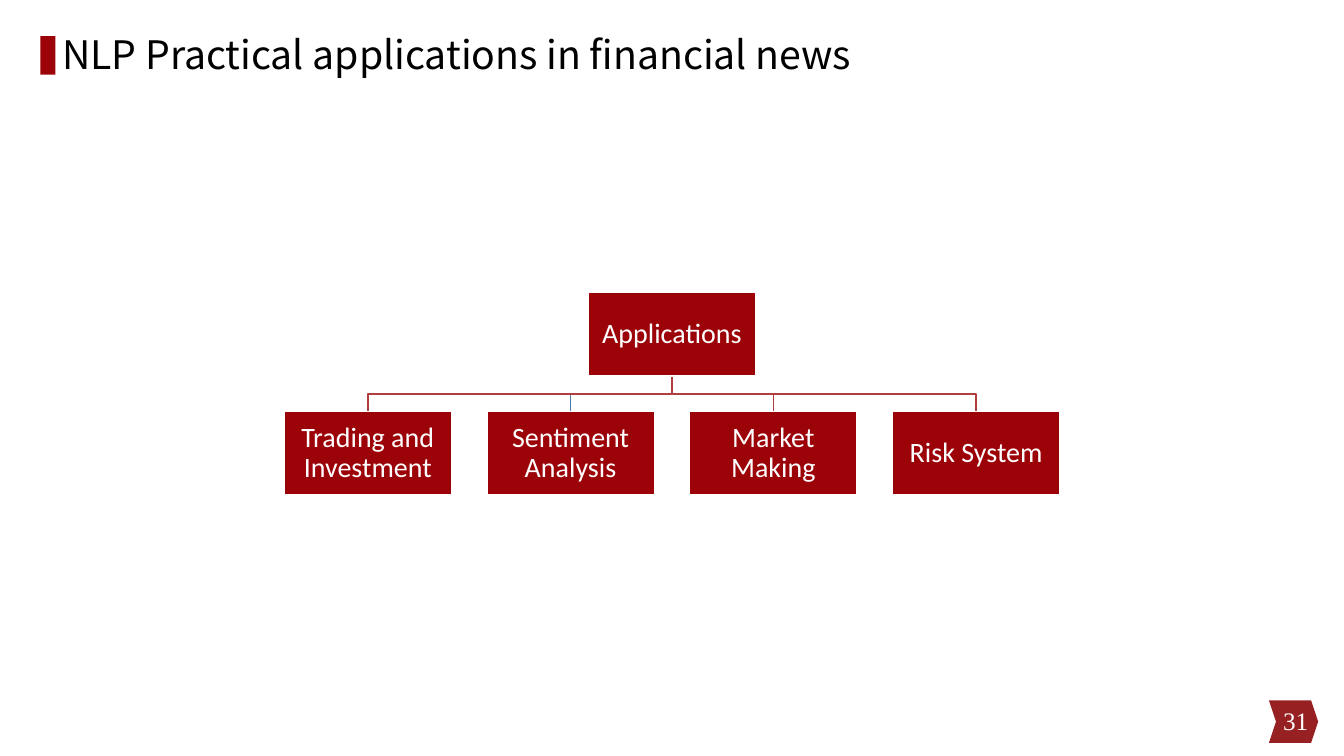
from pptx import Presentation
from pptx.dml.color import RGBColor
from pptx.enum.shapes import MSO_SHAPE as Preset
from pptx.enum.text import MSO_ANCHOR as Anchor, PP_ALIGN as Align
from pptx.util import Cm, Pt

DARK_RED = "9C0308"
WHITE = "FFFFFF"
LINE_RED = "B23E3E"
LINE_BLUE = "497CAB"


def color(value):
    return RGBColor.from_string(value)


def write(shape, text, size, font, fill, align=Align.LEFT, inset=None, spacing=None):
    frame = shape.text_frame
    frame.word_wrap = True
    frame.vertical_anchor = Anchor.MIDDLE
    if inset is not None:
        frame.margin_left = frame.margin_right = Cm(inset)
        frame.margin_top = frame.margin_bottom = Cm(inset)
    paragraph = frame.paragraphs[0]
    paragraph.alignment = align
    paragraph.line_spacing = spacing
    run = paragraph.add_run()
    run.text = text
    run.font.size = Pt(size)
    run.font.name = font
    run.font.color.rgb = color(fill)


def add_block(slide, preset, left, top, width, height, fill, line=None):
    shape = slide.shapes.add_shape(preset, Cm(left), Cm(top), Cm(width), Cm(height))
    shape.shadow.inherit = False
    shape.fill.solid()
    shape.fill.fore_color.rgb = color(fill)
    if line:
        shape.line.color.rgb = color(line)
        shape.line.width = Pt(1)
    else:
        shape.line.fill.background()
    return shape


def add_title(slide, left, top, width, height, text):
    # Accent bar, then the title over its right edge
    add_block(slide, Preset.RECTANGLE, left, top + 0.96, 0.38, 0.97, DARK_RED)
    box = slide.shapes.add_textbox(Cm(left + 0.3), Cm(top), Cm(width), Cm(height))
    write(box, text, 28, "Noto Sans CJK SC", "000000", spacing=0.9)


def add_page_number(slide, left, top, width, height, number):
    chevron = add_block(slide, Preset.CHEVRON, left, top, width, height, "972022")
    chevron.adjustments[0] = 0.167
    box_width = 7.62
    box = slide.shapes.add_textbox(
        Cm(left + width - box_width), Cm(top), Cm(box_width), Cm(1.02))
    write(box, number, 18, "Times New Roman", WHITE, align=Align.RIGHT)


def add_branch(slide, start, end, line):
    (start_x, start_y), (end_x, end_y) = start, end
    middle = (start_y + end_y) / 2
    builder = slide.shapes.build_freeform(Cm(start_x), Cm(start_y))
    corners = [(start_x, middle), (end_x, middle), (end_x, end_y)]
    builder.add_line_segments([(Cm(x), Cm(y)) for x, y in corners], close=False)
    branch = builder.convert_to_shape()
    branch.shadow.inherit = False
    branch.fill.background()
    branch.line.color.rgb = color(line)
    branch.line.width = Pt(1)


def add_tree(slide, left, top, width, box_width, box_height, root, children):
    gap = (width - len(children) * box_width) / (len(children) - 1)
    child_top = top + box_height + gap
    center = left + width / 2
    lefts = [left + i * (box_width + gap) for i in range(len(children))]

    # Branches, drawn from right to left behind the boxes
    for i in reversed(range(len(children))):
        add_branch(slide, (center, top + box_height),
                   (lefts[i] + box_width / 2, child_top),
                   LINE_BLUE if i == 1 else LINE_RED)

    # Root and child boxes
    boxes = [(root, center - box_width / 2, top)]
    boxes += [(text, x, child_top) for text, x in zip(children, lefts)]
    for text, x, y in boxes:
        box = add_block(slide, Preset.RECTANGLE, x, y, box_width, box_height,
                        DARK_RED, line=WHITE)
        write(box, text, 20, "Calibri", WHITE, align=Align.CENTER,
              inset=0.03, spacing=0.9)


def main():
    presentation = Presentation()
    presentation.slide_width = Cm(33.87)
    presentation.slide_height = Cm(19.05)
    slide = presentation.slides.add_slide(presentation.slide_layouts[6])

    add_page_number(slide, 31.98, 17.65, 1.24, 1.07, "31")
    add_title(slide, 1.02, -0.05, 28.73, 2.97,
              "NLP Practical applications in financial news")
    add_tree(slide, 7.16, 7.37, 19.55, 4.22, 2.11, "Applications",
             ["Trading and Investment", "Sentiment Analysis",
              "Market Making", "Risk System"])
    presentation.save("out.pptx")


if __name__ == "__main__":
    main()
